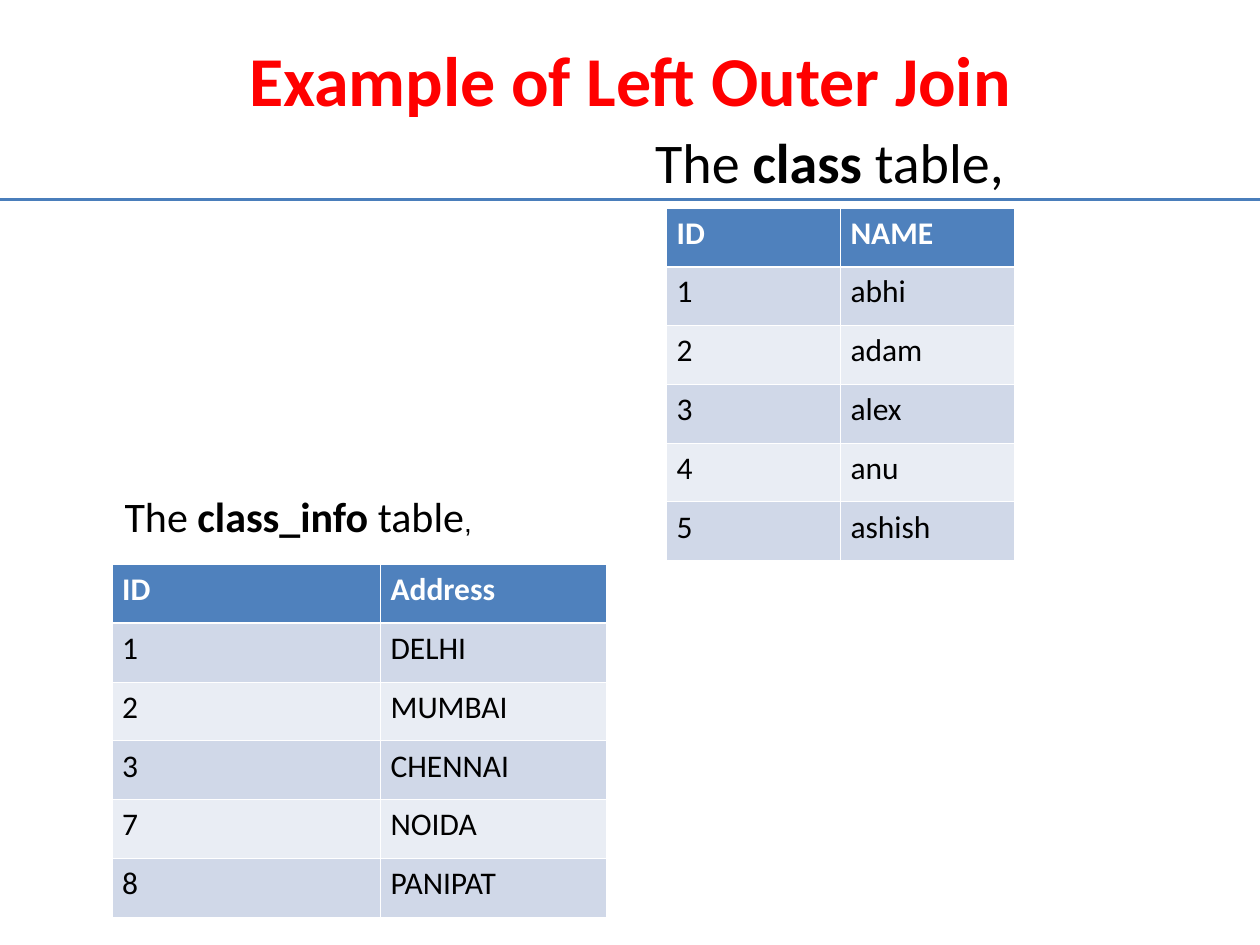
import pptx
import pptx.dml.color
import pptx.enum.shapes
import pptx.enum.text
import pptx.oxml.ns
import pptx.util
from lxml import etree

SLIDE_WIDTH = pptx.util.Inches(10)
SLIDE_HEIGHT = pptx.util.Inches(7.5)
GRID = 100
HEADER_BLUE = "4F81BD"
BANDS = ("D0D8E8", "E9EDF4")
THIN, THICK = 0.45, 1.47


def columns(count):
    return round(SLIDE_WIDTH * count / GRID)


def rows(count):
    return round(SLIDE_HEIGHT * count / GRID)


def area(left, top, width, height):
    return columns(left), rows(top), columns(width), rows(height)


def color(value):
    return pptx.dml.color.RGBColor.from_string(value)


def format_font(font, size, value, bold=False, name="Calibri"):
    font.name = name
    font.size = pptx.util.Pt(size)
    font.bold = bold
    font.color.rgb = color(value)


def add_title(page, text):
    title = page.shapes.title
    title.left, title.top, title.width, title.height = area(5, 4, 90, 16.67)
    frame = title.text_frame
    frame.text = text
    frame.vertical_anchor = pptx.enum.text.MSO_ANCHOR.MIDDLE
    frame.margin_top = 0
    frame.margin_bottom = rows(8)
    para = frame.paragraphs[0]
    para.alignment = pptx.enum.text.PP_ALIGN.CENTER
    format_font(para.runs[0].font, 40, "FF0000", bold=True)


def add_rule(page, row):
    rule = page.shapes.add_connector(
        pptx.enum.shapes.MSO_CONNECTOR.STRAIGHT, 0, rows(row), SLIDE_WIDTH, rows(row)
    )
    rule.line.color.rgb = color("4A7EBB")
    rule.line.width = pptx.util.Pt(2)
    etree.SubElement(rule._element.spPr, pptx.oxml.ns.qn("a:effectLst"))


def add_caption(page, place, spans, size, indent=0):
    box = page.shapes.add_textbox(*place)
    frame = box.text_frame
    frame.word_wrap = True
    frame.margin_left = columns(1 + indent)
    para = frame.paragraphs[0]
    for text, style in spans:
        span = para.add_run()
        span.text = text
        format_font(span.font, **{"size": size, "value": "000000", **style})


def add_border(cell, side, width):
    properties = cell._tc.get_or_add_tcPr()
    border = etree.SubElement(
        properties, pptx.oxml.ns.qn(f"a:ln{side}"), w=str(pptx.util.Pt(width))
    )
    fill = etree.SubElement(border, pptx.oxml.ns.qn("a:solidFill"))
    etree.SubElement(fill, pptx.oxml.ns.qn("a:srgbClr"), val="FFFFFF")


def format_cell(cell, text, row):
    header = row == 0
    cell.text = text
    cell.margin_left = cell.margin_right = pptx.util.Inches(0.08)
    cell.margin_top = cell.margin_bottom = pptx.util.Inches(0.05)
    widths = {"L": THIN, "R": THIN, "T": THICK if row == 1 else THIN, "B": THICK if header else THIN}
    for side, width in widths.items():
        add_border(cell, side, width)
    cell.fill.solid()
    cell.fill.fore_color.rgb = color(HEADER_BLUE if header else BANDS[(row - 1) % 2])
    span = cell.text_frame.paragraphs[0].runs[0]
    format_font(span.font, 18, "FFFFFF" if header else "000000", bold=header)


def add_records(page, left, top, widths, records):
    place = area(left, top, sum(widths), 37.33)
    table = page.shapes.add_table(len(records), len(widths), *place).table
    for column, width in zip(table.columns, widths):
        column.width = columns(width)
    for row, record in enumerate(records):
        for column, text in enumerate(record):
            format_cell(table.cell(row, column), text, row)


def main():
    deck = pptx.Presentation()
    deck.slide_width, deck.slide_height = SLIDE_WIDTH, SLIDE_HEIGHT
    page = deck.slides.add_slide(deck.slide_layouts[5])
    bold = {"bold": True}

    add_rule(page, 21.1)
    add_title(page, "Example of Left Outer Join")
    add_caption(
        page,
        area(5, 12.8, 81.7, 84.67),
        [("The ", {}), ("class", bold), (" table,", {})],
        size=32,
        indent=46,
    )
    add_records(
        page, 52.9, 22, (13.8, 13.8),
        [("ID", "NAME"), ("1", "abhi"), ("2", "adam"), ("3", "alex"), ("4", "anu"), ("5", "ashish")],
    )
    add_caption(
        page,
        area(8.9, 51.2, 34, 6.67),
        [("The ", {}), ("class_info", bold), (" table", {}), (",", {"size": 16, "name": "Arial"})],
        size=24,
    )
    add_records(
        page, 8.9, 59.73, (21.3, 17.9),
        [("ID", "Address"), ("1", "DELHI"), ("2", "MUMBAI"), ("3", "CHENNAI"), ("7", "NOIDA"), ("8", "PANIPAT")],
    )
    deck.save("out.pptx")


if __name__ == "__main__":
    main()
